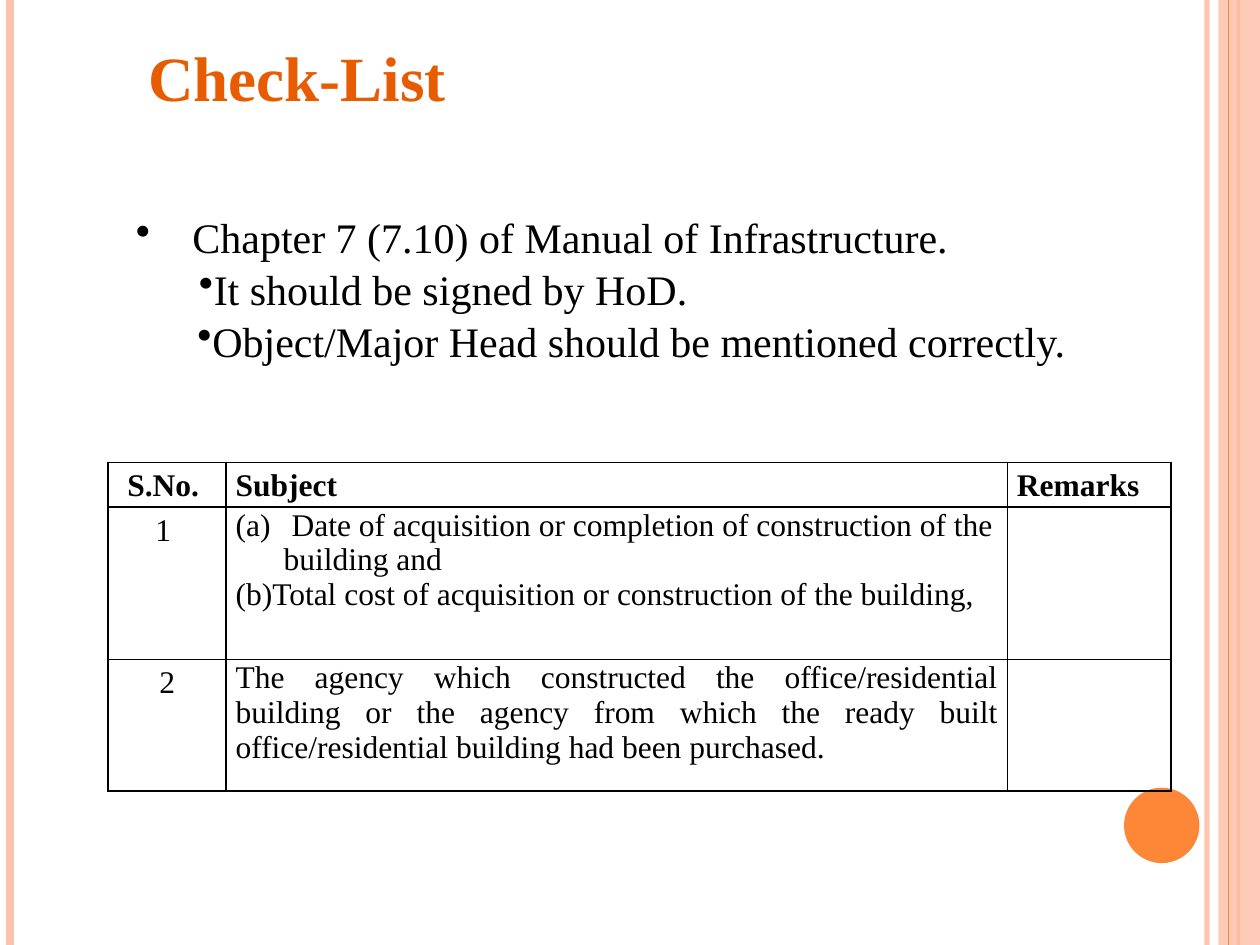
from dataclasses import dataclass

from lxml.etree import SubElement
from pptx import Presentation
from pptx.dml.color import RGBColor
from pptx.enum.shapes import MSO_CONNECTOR as Connector, MSO_SHAPE as Shape
from pptx.enum.text import MSO_AUTO_SIZE as AutoSize, PP_ALIGN as Align
from pptx.oxml import parse_xml
from pptx.oxml.ns import nsdecls, qn
from pptx.util import Cm, Pt


@dataclass(frozen=True)
class Theme:
    font: str = "Times New Roman"
    accent: str = "FE8637"
    pale: str = "FEC3AE"
    heading: str = "E75C01"
    ink: str = "000000"
    title_size: int = 36
    body_size: int = 24
    table_size: int = 18


class SlideBuilder:
    def __init__(self, slide, theme):
        self.slide = slide
        self.theme = theme

    def set_alpha(self, fill, percent):
        color = fill._xPr.find(qn("a:solidFill"))[0]
        SubElement(color, qn("a:alpha"), val=str(percent * 1000))

    def rail(self, x, width, color, alpha=100):
        line = self.slide.shapes.add_connector(
            Connector.STRAIGHT, Cm(x), Cm(0), Cm(x), Cm(19.05))
        line.line.width = Pt(width)
        line.line.color.rgb = RGBColor.from_string(color)
        SubElement(line._element.spPr, qn("a:effectLst"))
        if alpha < 100:
            self.set_alpha(line.line.fill, alpha)

    def shape(self, kind, box, color, alpha=100):
        shape = self.slide.shapes.add_shape(kind, *map(Cm, box))
        shape.shadow.inherit = False
        shape.fill.solid()
        shape.fill.fore_color.rgb = RGBColor.from_string(color)
        shape.line.fill.background()
        if alpha < 100:
            self.set_alpha(shape.fill, alpha)

    def paragraph(self, paragraph, text, size, color=None, bold=False,
                  indent=None, bullet=None, **formats):
        properties = paragraph._p.get_or_add_pPr()
        for name, value in formats.items():
            setattr(paragraph, name, value)
        if indent:
            margin, first = indent
            properties.set("marL", str(Cm(margin)))
            properties.set("indent", str(Cm(first)))
        if bullet:
            tag, attributes = bullet
            SubElement(properties, qn(tag), **attributes)
        run = paragraph.add_run()
        run.text = text
        font_values = {"name": self.theme.font, "size": Pt(size), "bold": bold}
        for name, value in font_values.items():
            setattr(run.font, name, value)
        run.font.color.rgb = RGBColor.from_string(color or self.theme.ink)

    def paragraphs(self, frame, items):
        for index, item in enumerate(items):
            paragraph = frame.add_paragraph() if index else frame.paragraphs[0]
            self.paragraph(paragraph, **item)

    def text(self, box, items, top_inset=0.13):
        frame = self.slide.shapes.add_textbox(*map(Cm, box)).text_frame
        values = {"word_wrap": True, "auto_size": AutoSize.NONE,
                  "margin_top": Cm(top_inset)}
        for name, value in values.items():
            setattr(frame, name, value)
        self.paragraphs(frame, items)

    def cell_borders(self, cell):
        properties = cell._tc.get_or_add_tcPr()
        for index, side in enumerate("LRTB"):
            properties.insert(index, parse_xml(
                f'<a:ln{side} {nsdecls("a")} w="12700"><a:solidFill>'
                f'<a:srgbClr val="{self.theme.ink}"/></a:solidFill></a:ln{side}>'))

    def table(self, left, top, columns, rows, contents):
        table = self.slide.shapes.add_table(
            len(rows), len(columns), Cm(left), Cm(top),
            Cm(sum(columns)), Cm(sum(rows))).table
        table.first_row = table.horz_banding = False
        for column, width in zip(table.columns, columns):
            column.width = Cm(width)
        margins = {"margin_left": Cm(0.19), "margin_right": Cm(0.19),
                   "margin_top": Cm(0.02), "margin_bottom": Cm(0)}
        for row, height, cells in zip(table.rows, rows, contents):
            row.height = Cm(height)
            for cell, items in zip(row.cells, cells):
                for name, value in margins.items():
                    setattr(cell, name, value)
                cell.fill.background()
                self.cell_borders(cell)
                self.paragraphs(cell.text_frame, items)


def main():
    theme = Theme()
    presentation = Presentation()
    presentation.slide_width, presentation.slide_height = Cm(25.4), Cm(19.05)
    slide = presentation.slides.add_slide(presentation.slide_layouts[6])
    builder = SlideBuilder(slide, theme)

    # Side decoration
    builder.rail(24.33, 3, theme.pale, alpha=93)
    builder.rail(0.2, 4.5, theme.pale)
    builder.rail(24.97, 1.5, theme.accent)
    builder.shape(Shape.RECTANGLE, (24.56, 0, 0.84, 19.05), theme.pale, alpha=87)
    builder.rail(24.77, 0.75, theme.accent)
    builder.shape(Shape.OVAL, (22.66, 15.88, 1.52, 1.52), theme.accent)

    # Bulleted notes
    notes = [
        ("Chapter 7 (7.10) of Manual of Infrastructure.", (1.14, -1.14), 0),
        ("It should be signed by HoD.", (0, 1.27), 1),
        ("Object/Major Head should be mentioned correctly.", (0, 1.24), 1),
    ]
    builder.text((2.49, 2.18, 21.41, 5.89), [
        {"text": text, "size": theme.body_size, "indent": indent,
         "bullet": ("a:buChar", {"char": "•"}), "alignment": Align.JUSTIFY,
         "space_before": Pt(gap)}
        for text, indent, gap in notes], top_inset=2.08)

    # Check-list table
    plain = {"size": theme.table_size}
    spaced = {**plain, "line_spacing": 1.15, "space_after": Pt(10)}
    header = {**spaced, "bold": True}
    number = {**spaced, "alignment": Align.CENTER}
    hanging = {**plain, "indent": (0.97, -0.97)}
    builder.table(2.18, 9.32, (2.38, 15.75, 3.3), (0.9, 3.07, 2.66), [
        [[{**header, "text": "S.No. ", "alignment": Align.CENTER}],
         [{**header, "text": "Subject"}],
         [{**header, "text": "Remarks"}]],
        [[{**number, "text": "1 "}],
         [{**hanging, "bullet": ("a:buAutoNum", {"type": "alphaLcParenBoth"}),
           "text": " Date of acquisition or completion of construction of the "
                   "building and"},
          {**hanging, "text": "(b)Total cost of acquisition or construction of "
                              "the building,"}],
         []],
        [[{**number, "text": "2"}],
         [{**plain, "alignment": Align.JUSTIFY,
           "text": "The agency which constructed the office/residential building "
                   "or the agency from which the ready built office/residential "
                   "building had been purchased."}],
         []],
    ])

    # Title
    builder.text((2.74, 0.64, 8.26, 1.8), [
        {"text": "Check-List", "size": theme.title_size,
         "color": theme.heading, "bold": True}])

    presentation.save("out.pptx")


if __name__ == "__main__":
    main()
